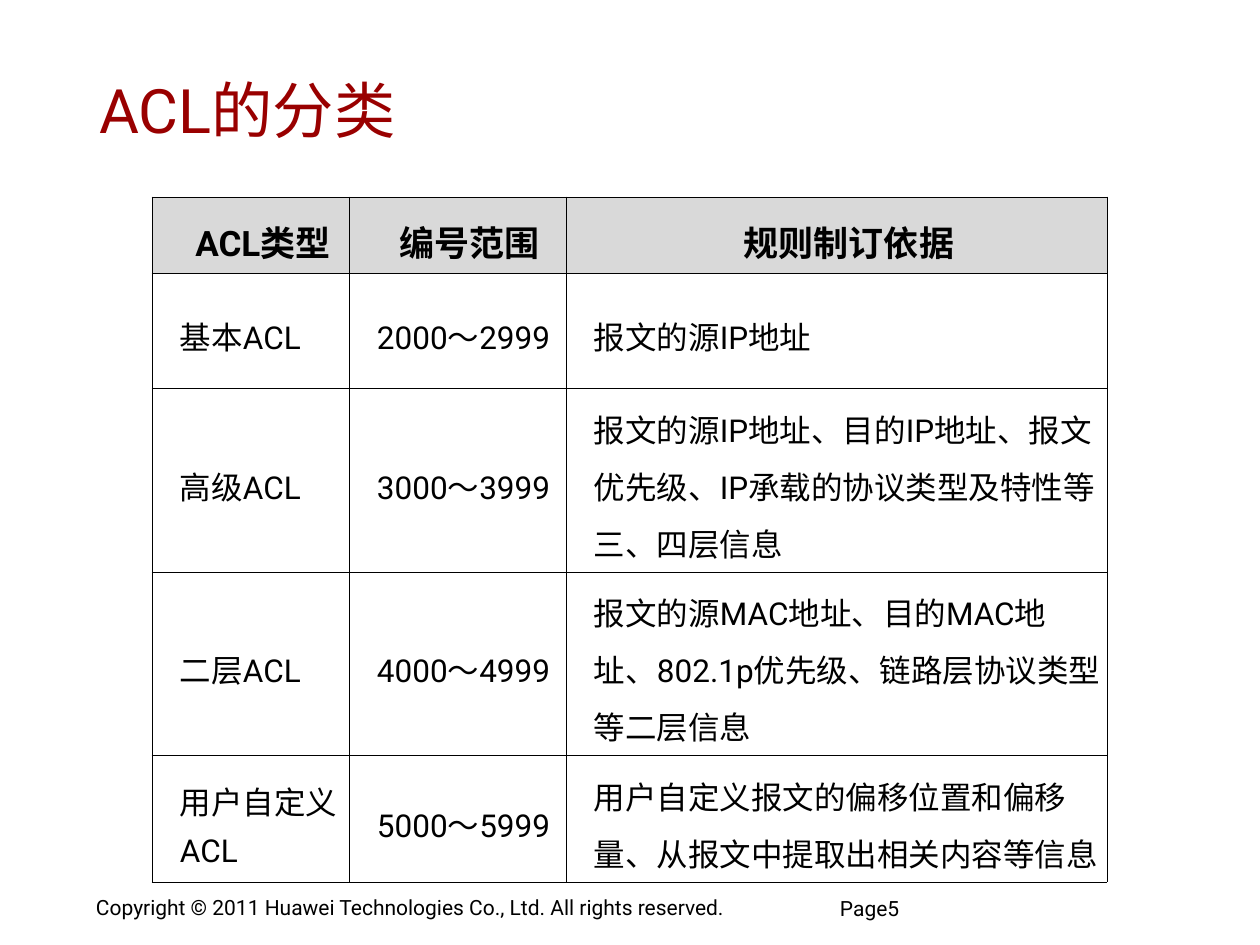
"""Build the slide that lists the ACL types, their number ranges and rule criteria."""
from lxml import etree
from pptx import Presentation
from pptx.dml.color import RGBColor
from pptx.enum.text import MSO_ANCHOR, MSO_AUTO_SIZE, PP_ALIGN
from pptx.oxml.ns import qn
from pptx.util import Emu, Pt

PX = 914400 // 126
FONT = "Roboto"
BLACK = RGBColor(0x00, 0x00, 0x00)
DARK_RED = RGBColor(0x99, 0x00, 0x00)
LIGHT_GREY = RGBColor(0xD9, 0xD9, 0xD9)
LEFT, CENTER = PP_ALIGN.LEFT, PP_ALIGN.CENTER
MIDDLE, TOP = MSO_ANCHOR.MIDDLE, MSO_ANCHOR.TOP
NO_FIT = MSO_AUTO_SIZE.NONE
TITLE_ONLY = 5

COLUMN_WIDTHS = (197, 217, 541)
ROW_HEIGHTS = (76, 115, 184, 183, 127)
ROWS = (
    ("ACL类型", "编号范围", "规则制订依据"),
    ("基本ACL", "2000～2999", "报文的源IP地址"),
    ("高级ACL", "3000～3999",
     "报文的源IP地址、目的IP地址、报文优先级、IP承载的协议类型及特性等三、四层信息"),
    ("二层ACL", "4000～4999",
     "报文的源MAC地址、目的MAC地址、802.1p优先级、链路层协议类型等二层信息"),
    ("用户自定义ACL", "5000～5999",
     "用户自定义报文的偏移位置和偏移量、从报文中提取出相关内容等信息"),
)


def px(length):
    return Emu(length * PX)


def write(frame, text, size=12, color=BLACK, bold=False, align=LEFT,
          line=1.0, after=0, indent=0):
    para = frame.paragraphs[0]
    properties = para._p.get_or_add_pPr()
    properties.set("marL", str(px(indent)))
    properties.set("indent", "0")
    properties.set("hangingPunct", "0")
    para.alignment = align
    para.line_spacing = line
    para.space_before = Pt(0)
    para.space_after = Pt(after)
    span = para.add_run()
    span.text = text
    span.font.name = FONT
    span.font.size = Pt(size)
    span.font.bold = bold
    span.font.color.rgb = color


def set_margins(owner, left, top, right, bottom):
    owner.margin_left, owner.margin_top = px(left), px(top)
    owner.margin_right, owner.margin_bottom = px(right), px(bottom)


def add_borders(cell):
    properties = cell._tc.get_or_add_tcPr()
    for side in ("lnL", "lnR", "lnT", "lnB"):
        border = etree.SubElement(properties, qn("a:" + side), w=str(Pt(0.45)))
        fill = etree.SubElement(border, qn("a:solidFill"))
        etree.SubElement(fill, qn("a:srgbClr"), val=str(BLACK))


class SlideBuilder:
    def __init__(self, deck):
        self.slide = deck.slides.add_slide(deck.slide_layouts[TITLE_ONLY])

    def place(self, box, left, top, width, height):
        box.left, box.top = px(left), px(top)
        box.width, box.height = px(width), px(height)

    def title(self, text, *area):
        box = self.slide.shapes.title
        self.place(box, *area)
        frame = box.text_frame
        frame.auto_size = NO_FIT
        frame.vertical_anchor = MIDDLE
        set_margins(frame, 11, 5, 11, 5)
        write(frame, text, size=35, color=DARK_RED)

    def text(self, text, *area, margins=(0, 0, 0, 0), wrap=True, **style):
        box = self.slide.shapes.add_textbox(*map(px, area))
        frame = box.text_frame
        frame.word_wrap = wrap
        frame.vertical_anchor = TOP
        set_margins(frame, *margins)
        write(frame, text, **style)

    def table(self, rows, left, top, widths, heights):
        area = map(px, (left, top, sum(widths), sum(heights)))
        table = self.slide.shapes.add_table(len(rows), len(widths), *area).table
        table.first_row = table.horz_banding = False
        for column, width in zip(table.columns, widths):
            column.width = px(width)
        for index, (row, height, texts) in enumerate(zip(table.rows, heights, rows)):
            row.height = px(height)
            for cell, text in zip(row.cells, texts):
                self.cell(cell, text, header=index == 0)

    def cell(self, cell, text, header):
        cell.vertical_anchor = MIDDLE
        set_margins(cell, 3, 6, 3, 6)
        add_borders(cell)
        if header:
            cell.fill.solid()
            cell.fill.fore_color.rgb = LIGHT_GREY
        else:
            cell.fill.background()
        write(cell.text_frame, text, size=20 if header else 18, bold=header,
              align=CENTER if header else LEFT, line=1.25, after=4, indent=25)


def main():
    deck = Presentation()
    deck.slide_width, deck.slide_height = px(1260), px(945)
    builder = SlideBuilder(deck)
    builder.text("Copyright © 2011 Huawei Technologies Co., Ltd. All rights reserved.",
                 85, 890, 702, 37, margins=(11, 5, 11, 5), wrap=False)
    builder.title("ACL的分类", 88, 49, 1065, 120)
    builder.table(ROWS, 152, 197, COLUMN_WIDTHS, ROW_HEIGHTS)
    builder.text("Page5", 840, 899, 209, 45, line=0.85)
    deck.save("out.pptx")


if __name__ == "__main__":
    main()
